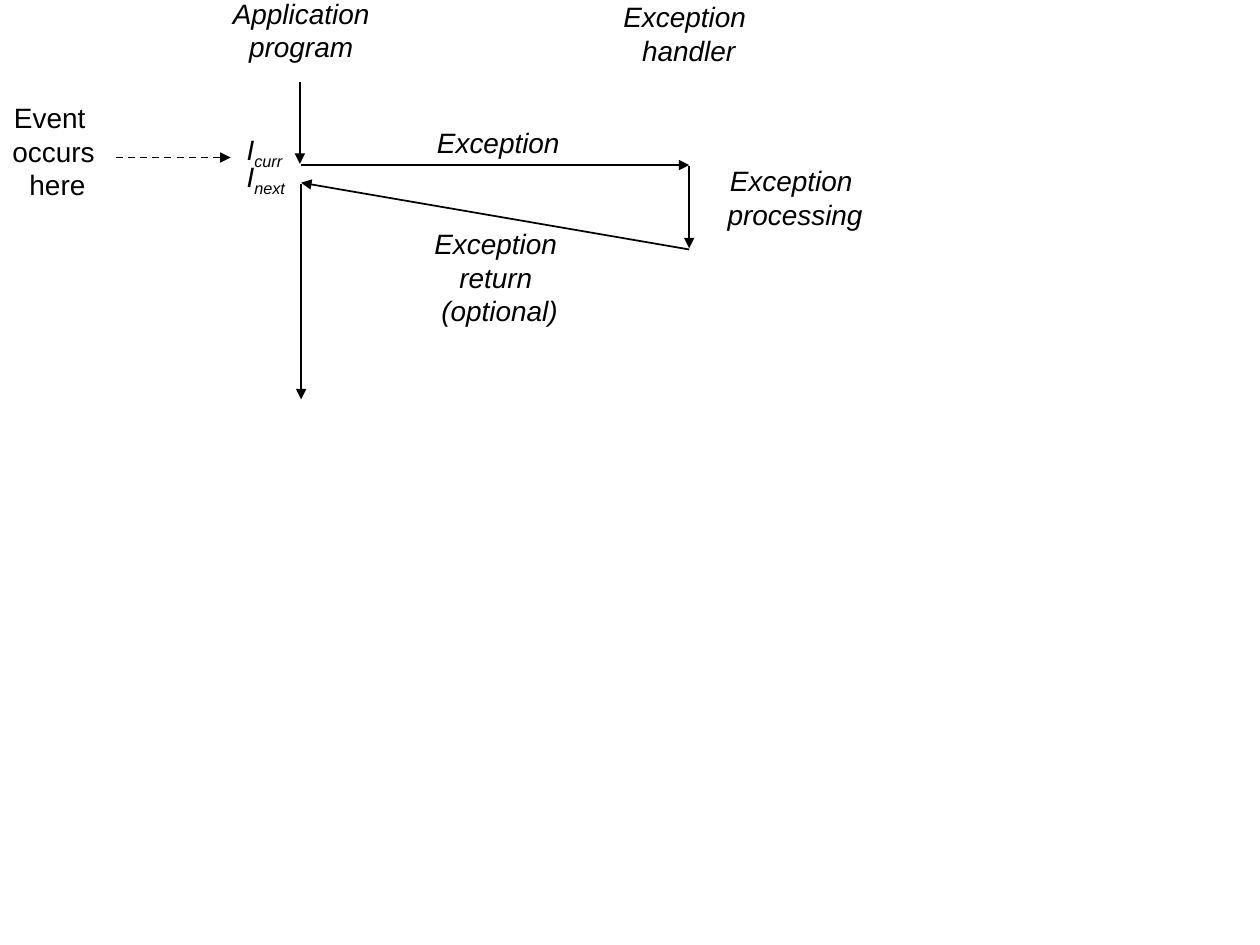
from lxml.etree import SubElement as Sub
from pptx import Presentation
from pptx.dml.color import RGBColor
from pptx.enum.dml import MSO_LINE as Dash
from pptx.enum.shapes import MSO_CONNECTOR as Link
from pptx.enum.text import MSO_ANCHOR as Anchor, MSO_AUTO_SIZE as Fit, PP_ALIGN as Align
from pptx.oxml.ns import qn
from pptx.util import Inches, Pt

INK = "000000"
FONT = {"name": "Arial", "size": Pt(16)}

# Columns of the two control flows, and rows where control changes hands
APP, HAND = 2.39, 5.47
CALL, BACK, DONE = 1.31, 1.45, 1.98


def paint(fmt, tone):
    fmt.rgb = RGBColor.from_string(tone)


def style(item, values):
    for key, value in values.items():
        setattr(item, key, value)


def add_run(para, text, slant, sub=False):
    run = para.add_run()
    run.text = text
    style(run.font, {**FONT, "italic": slant})
    paint(run.font.color, INK)
    if sub:
        run.font._element.set("baseline", "-25000")


def add_box(slide, x, y, w, h, wrap=False, anchor=Anchor.TOP):
    box = slide.shapes.add_textbox(*map(Inches, (x, y, w, h)))
    style(box.text_frame, {"word_wrap": wrap, "vertical_anchor": anchor,
                           "auto_size": Fit.SHAPE_TO_FIT_TEXT})
    return box.text_frame


def add_label(slide, spot, lines, slant=True, **frame):
    text = add_box(slide, *spot, **frame)
    for i, line in enumerate(lines):
        para = text.add_paragraph() if i else text.paragraphs[0]
        para.alignment = Align.CENTER
        add_run(para, line, slant)


def add_step(slide, spot, sub):
    para = add_box(slide, *spot).paragraphs[0]
    add_run(para, "I", True)
    add_run(para, sub, True, sub=True)


def add_arrow(slide, start, end, dash=None):
    arrow = slide.shapes.add_connector(Link.STRAIGHT, *map(Inches, start + end))
    style(arrow.line, {"width": Pt(1), "dash_style": dash})
    paint(arrow.line.color, INK)
    Sub(arrow.line._get_or_add_ln(), qn("a:tailEnd"), type="triangle")
    Sub(arrow._element.spPr, qn("a:effectLst"))


def main():
    deck = Presentation()
    style(deck, {"slide_width": Inches(10), "slide_height": Inches(7.5)})
    slide = deck.slides.add_slide(deck.slide_layouts[6])

    # Column heads
    add_label(slide, (1.73, -0.08, 1.32, 0.63), ["Application", "program"])
    add_label(slide, (4.84, -0.05, 1.25, 0.63), ["Exception ", "handler"])

    # Flow of control: run, raise, handle, return, resume
    for start, end in [
        ((2.38, 0.65), (2.38, 1.3)),
        ((APP, CALL), (HAND, CALL)),
        ((HAND, 1.32), (HAND, 1.97)),
        ((HAND, DONE), (APP, BACK)),
        ((APP, 1.46), (APP, 3.17)),
    ]:
        add_arrow(slide, start, end)

    # Flow labels
    add_label(slide, (3.36, 0.95, 1.19, 0.36), ["Exception"])
    add_label(slide, (5.62, 1.25, 1.38, 0.63), ["Exception ", "processing"], wrap=True)
    add_label(slide, (3.34, 1.75, 1.25, 0.9), ["Exception ", "return ", "(optional)"])

    # Current and next instruction
    add_step(slide, (1.86, 1, 0.5, 0.41), "curr")
    add_step(slide, (1.86, 1.22, 0.54, 0.41), "next")

    # Event that raises the exception
    add_label(slide, (0, 0.75, 0.85, 0.9), ["Event ", "occurs", " here"],
              slant=False, anchor=Anchor.MIDDLE)
    add_arrow(slide, (0.92, 1.25), (1.83, 1.25), Dash.DASH)

    deck.save("out.pptx")


if __name__ == "__main__":
    main()
